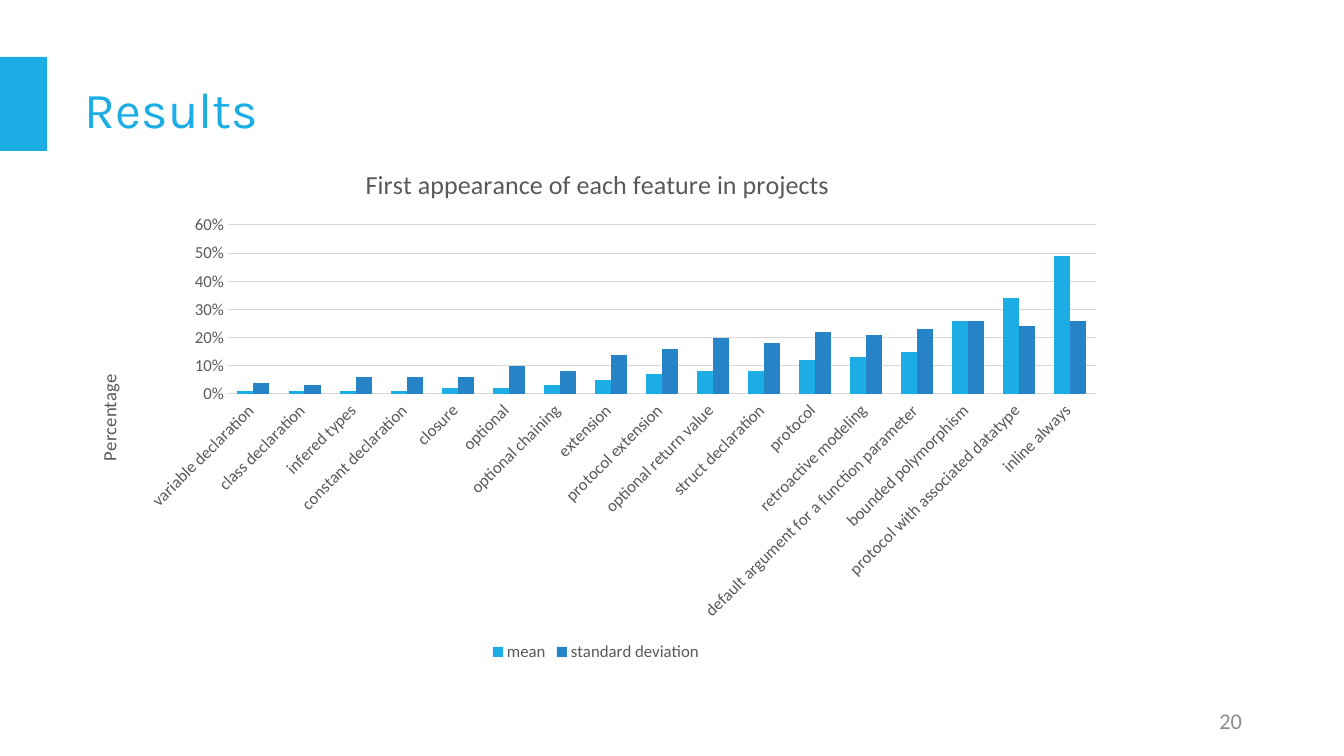
from lxml import etree
from pptx import Presentation, util as u
from pptx.chart import data as chart_data
from pptx.dml import color
from pptx.enum import chart as c, shapes, text
from pptx.oxml import ns

SCALE = 914400 / 100.8
ACCENT, BLUE, GREY, RULE, MUTED = "1CADE4", "2683C6", "595959", "D9D9D9", "8C8C8C"

FEATURES = [
    ("variable declaration ", 0.01, 0.04),
    ("class declaration ", 0.01, 0.03),
    ("infered types ", 0.01, 0.06),
    ("constant declaration ", 0.01, 0.06),
    ("closure ", 0.02, 0.06),
    ("optional ", 0.02, 0.10),
    ("optional chaining ", 0.03, 0.08),
    ("extension ", 0.05, 0.14),
    ("protocol extension ", 0.07, 0.16),
    ("optional return value ", 0.08, 0.20),
    ("struct declaration ", 0.08, 0.18),
    ("protocol ", 0.12, 0.22),
    ("retroactive modeling ", 0.13, 0.21),
    ("default argument for a function parameter ", 0.15, 0.23),
    ("bounded polymorphism ", 0.26, 0.26),
    ("protocol with associated datatype ", 0.34, 0.24),
    ("inline always ", 0.49, 0.26),
]


def px(value):
    return u.Emu(round(value * SCALE))


def rgb(value):
    return color.RGBColor.from_string(value)


def apply(target, **values):
    for name, value in values.items():
        setattr(target, name, value)


def style_font(font, size, hex_color, name="Calibri"):
    apply(font, size=u.Pt(size), name=name, bold=False)
    font.color.rgb = rgb(hex_color)


def style_line(line, hex_color):
    line.color.rgb = rgb(hex_color)
    line.width = u.Pt(0.75)


def add_text(slide, box, words, size, hex_color, name="Calibri", **paragraph_format):
    frame = slide.shapes.add_textbox(*map(px, box)).text_frame
    apply(frame, word_wrap=True, vertical_anchor=text.MSO_ANCHOR.MIDDLE)
    paragraph = frame.paragraphs[0]
    apply(paragraph, **paragraph_format)
    run = paragraph.add_run()
    run.text = words
    style_font(run.font, size, hex_color, name)


def add_accent(slide, box):
    shape = slide.shapes.add_shape(shapes.MSO_SHAPE.RECTANGLE, *map(px, box))
    shape.shadow.inherit = False
    shape.fill.solid()
    shape.fill.fore_color.rgb = rgb(ACCENT)
    shape.line.fill.background()


def set_layout(parent, box, position, inner=False):
    for old in parent.findall(ns.qn("c:layout")):
        parent.remove(old)
    layout = etree.Element(ns.qn("c:layout"))
    manual = etree.SubElement(layout, ns.qn("c:manualLayout"))
    left, top, width, height = box
    settings = {"layoutTarget": "inner"} if inner else {}
    settings.update(xMode="edge", yMode="edge", x=left, y=top)
    if inner:
        settings.update(w=width, h=height)
    for name, value in settings.items():
        etree.SubElement(manual, ns.qn("c:" + name)).set("val", str(value))
    parent.insert(position, layout)


def set_title(owner, words, size):
    title = owner.chart_title if hasattr(owner, "chart_title") else owner.axis_title
    paragraph = title.text_frame.paragraphs[0]
    run = paragraph.add_run()
    run.text = words
    style_font(run.font, size, GREY)
    return title


def add_feature_chart(slide, box):
    data = chart_data.CategoryChartData(number_format="0%")
    names, means, deviations = zip(*FEATURES)
    data.categories = names
    data.add_series("mean", means)
    data.add_series("standard deviation", deviations)
    chart = slide.shapes.add_chart(
        c.XL_CHART_TYPE.COLUMN_CLUSTERED, *map(px, box), data).chart
    style_font(chart.font, 10, "000000")
    apply(chart, has_title=True, has_legend=True)
    chart_title = set_title(chart, "First appearance of each feature in projects", 18.6)

    apply(chart.legend, position=c.XL_LEGEND_POSITION.BOTTOM, include_in_layout=False)
    style_font(chart.legend.font, 12, GREY)

    plot = chart.plots[0]
    apply(plot, gap_width=119, overlap=0, vary_by_categories=False)
    for series, hex_color in zip(plot.series, (ACCENT, BLUE)):
        series.format.fill.solid()
        series.format.fill.fore_color.rgb = rgb(hex_color)

    category, value = chart.category_axis, chart.value_axis
    for axis in (category, value):
        apply(axis, major_tick_mark=c.XL_TICK_MARK.NONE,
              minor_tick_mark=c.XL_TICK_MARK.NONE)
        style_font(axis.tick_labels.font, 12, GREY)
    style_line(category.format.line, RULE)
    body = category._element.find(ns.qn("c:txPr")).find(ns.qn("a:bodyPr"))
    body.set("rot", str(-45 * 60000))

    apply(value, minimum_scale=0, maximum_scale=0.6, major_unit=0.1,
          has_major_gridlines=True, has_title=True)
    apply(value.tick_labels, number_format="0%", number_format_is_linked=False)
    style_line(value.major_gridlines.format.line, RULE)
    value.format.line.fill.background()
    axis_title = set_title(value, "Percentage", 13.3)
    title_body = axis_title.text_frame._txBody.find(ns.qn("a:bodyPr"))
    title_body.set("rot", str(-90 * 60000))

    left, top, width, height = box

    def fraction(x, y, w, h):
        return (round((x - left) / width, 4), round((y - top) / height, 4),
                round(w / width, 4), round(h / height, 4))

    set_layout(chart_title._element, fraction(361, 161, 468, 44), 1)
    set_layout(axis_title._element, fraction(93, 371, 20, 87), 1)
    plot_area = chart._chartSpace.chart.plotArea
    set_layout(plot_area, fraction(228, 225, 868, 169), 0, inner=True)


def build_results(slide, box):
    left, top, width, height = box
    add_accent(slide, (left, top + 57, 47, 94))
    add_text(slide, (left + 75, top + 40, 948, 145), "Results", 36, ACCENT,
             "Karla", line_spacing=0.9)
    add_feature_chart(slide, (left + 75, top + 145, 1042, 521))
    add_text(slide, (left + width - 394, top + height - 55, 302, 40), "20", 16,
             MUTED, alignment=text.PP_ALIGN.RIGHT)


presentation = Presentation()
apply(presentation, slide_width=px(1344), slide_height=px(756))
build_results(presentation.slides.add_slide(presentation.slide_layouts[6]),
              (0, 0, 1344, 756))
presentation.save("out.pptx")
